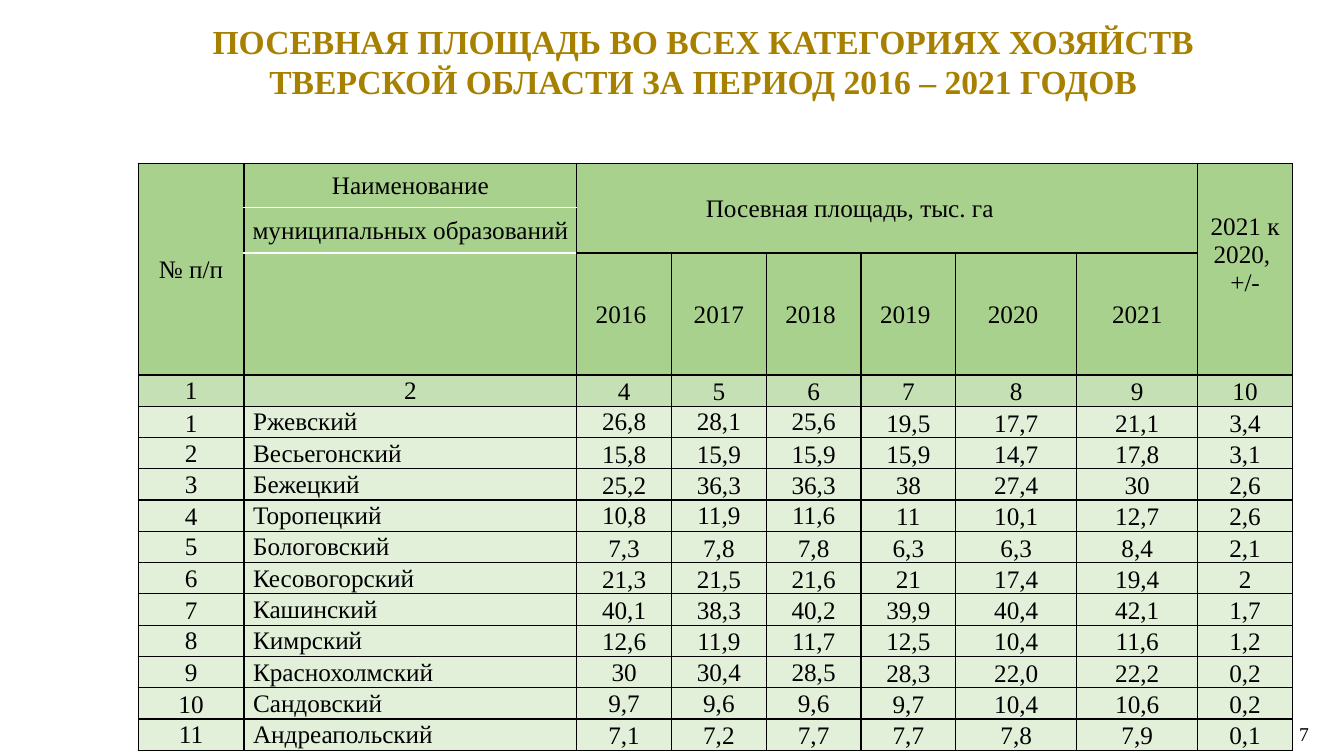
import pptx
import pptx.util
import pptx.dml.color
import pptx.enum.text
import pptx.oxml
import pptx.oxml.ns

Inches = pptx.util.Inches
RGBColor = pptx.dml.color.RGBColor
ALIGN = pptx.enum.text.PP_ALIGN
ANCHOR = pptx.enum.text.MSO_ANCHOR

FONT = "Times New Roman"
GOLD = RGBColor(0xA8, 0x80, 0x00)
BLACK = RGBColor(0x00, 0x00, 0x00)
HEAD = RGBColor(0xA9, 0xD1, 0x8E)
SUBHEAD = RGBColor(0xC5, 0xE0, 0xB4)
BODY = RGBColor(0xE2, 0xF0, 0xD9)

COLUMN_WIDTHS = [1.05, 3.3, 0.94, 0.94, 0.94, 0.94, 1.2, 1.2, 0.94]
HEADER_HEIGHTS = [0.44, 0.45, 1.21]
ROW_HEIGHT = 0.31
YEARS = ["2016 ", "2017", "2018 ", "2019 ", "2020 ", "2021"]
COLUMN_NUMBERS = ["1", "2", "4", "5", "6", "7", "8", "9", "10"]
DISTRICTS = [
    ("Ржевский", "26,8 28,1 25,6 19,5 17,7 21,1 3,4"),
    ("Весьегонский", "15,8 15,9 15,9 15,9 14,7 17,8 3,1"),
    ("Бежецкий", "25,2 36,3 36,3 38 27,4 30 2,6"),
    ("Торопецкий", "10,8 11,9 11,6 11 10,1 12,7 2,6"),
    ("Бологовский", "7,3 7,8 7,8 6,3 6,3 8,4 2,1"),
    ("Кесовогорский", "21,3 21,5 21,6 21 17,4 19,4 2"),
    ("Кашинский", "40,1 38,3 40,2 39,9 40,4 42,1 1,7"),
    ("Кимрский", "12,6 11,9 11,7 12,5 10,4 11,6 1,2"),
    ("Краснохолмский", "30 30,4 28,5 28,3 22,0 22,2 0,2"),
    ("Сандовский", "9,7 9,6 9,6 9,7 10,4 10,6 0,2"),
    ("Андреапольский", "7,1 7,2 7,7 7,7 7,8 7,9 0,1"),
]
MIDDLE_VALUE_ROWS = {1, 4, 9, 10}


def write_text(tf, text, size=18, color=BLACK, bold=False, align=ALIGN.CENTER):
    for i, line in enumerate(text.split("\n")):
        p = tf.paragraphs[0] if i == 0 else tf.add_paragraph()
        p.alignment = align
        p.font.size = pptx.util.Pt(size)
        r = p.add_run()
        r.text = line
        r.font.name = FONT
        r.font.size = pptx.util.Pt(size)
        r.font.bold = bold
        r.font.color.rgb = color


def add_text(s, left, top, width, height, text, **fmt):
    tf = s.shapes.add_textbox(Inches(left), Inches(top), Inches(width), Inches(height)).text_frame
    tf.word_wrap = True
    tf.vertical_anchor = ANCHOR.MIDDLE
    write_text(tf, text, **fmt)


def set_borders(cell, sides):
    tc_pr = cell._tc.get_or_add_tcPr()
    lines = [
        f'<a:ln{side} {pptx.oxml.ns.nsdecls("a")} w="12700">'
        f'<a:solidFill><a:srgbClr val="{BLACK}"/></a:solidFill></a:ln{side}>'
        for side in "LRTB" if side in sides
    ]
    for i, xml in enumerate(lines):
        tc_pr.insert(i, pptx.oxml.parse_xml(xml))


def style_cell(cell, fill, sides="LRTB"):
    cell.fill.solid()
    cell.fill.fore_color.rgb = fill
    set_borders(cell, sides)


def fill_cell(cell, text, anchor=ANCHOR.MIDDLE, left=0.01, bottom=0, **fmt):
    cell.margin_left = Inches(left)
    cell.margin_right = cell.margin_top = Inches(0.01)
    cell.margin_bottom = Inches(bottom)
    cell.vertical_anchor = anchor
    write_text(cell.text_frame, text, **fmt)


def fill_header(table):
    name_sides = ["LRT", "LR", "LRB"]
    for row in range(3):
        for col in range(len(COLUMN_WIDTHS)):
            style_cell(table.cell(row, col), HEAD, name_sides[row] if col == 1 else "LRTB")
    table.cell(0, 0).merge(table.cell(2, 0))
    table.cell(0, 2).merge(table.cell(1, 7))
    table.cell(0, 8).merge(table.cell(2, 8))
    fill_cell(table.cell(0, 0), "№ п/п")
    fill_cell(table.cell(0, 1), "Наименование")
    fill_cell(table.cell(1, 1), "муниципальных образований")
    fill_cell(table.cell(0, 2), "Посевная площадь, тыс. га", left=1.28, align=ALIGN.LEFT)
    fill_cell(table.cell(0, 8), "2021 к 2020, \n+/-", bottom=0.29)
    for col, year in enumerate(YEARS, 2):
        fill_cell(table.cell(2, col), year)
    for col, number in enumerate(COLUMN_NUMBERS):
        cell = table.cell(3, col)
        style_cell(cell, SUBHEAD)
        fill_cell(cell, number, ANCHOR.MIDDLE if col < 2 else ANCHOR.BOTTOM)


def fill_district(table, number, name, values):
    row = number + 3
    for col in range(len(COLUMN_WIDTHS)):
        style_cell(table.cell(row, col), BODY)
    fill_cell(table.cell(row, 0), str(number), ANCHOR.BOTTOM if number % 3 == 1 else ANCHOR.MIDDLE)
    fill_cell(table.cell(row, 1), name, left=0.09, align=ALIGN.LEFT)
    for col, value in enumerate(values.split(), 2):
        middle = col < 5 and number in MIDDLE_VALUE_ROWS
        fill_cell(table.cell(row, col), value, ANCHOR.MIDDLE if middle else ANCHOR.BOTTOM)


def add_area_table(s):
    heights = HEADER_HEIGHTS + [ROW_HEIGHT] * (len(DISTRICTS) + 1)
    table = s.shapes.add_table(
        len(heights), len(COLUMN_WIDTHS), Inches(1.37), Inches(1.62),
        Inches(sum(COLUMN_WIDTHS)), Inches(sum(heights)),
    ).table
    table.first_row = table.horz_banding = False
    for column, width in zip(table.columns, COLUMN_WIDTHS):
        column.width = Inches(width)
    for row, height in zip(table.rows, heights):
        row.height = Inches(height)
    fill_header(table)
    for number, (name, values) in enumerate(DISTRICTS, 1):
        fill_district(table, number, name, values)


def main():
    prs = pptx.Presentation()
    prs.slide_width = Inches(13.33)
    prs.slide_height = Inches(7.5)
    s = prs.slides.add_slide(prs.slide_layouts[6])
    add_text(
        s, 1.15, 0.16, 11.65, 0.89,
        "ПОСЕВНАЯ ПЛОЩАДЬ ВО ВСЕХ КАТЕГОРИЯХ ХОЗЯЙСТВ ТВЕРСКОЙ ОБЛАСТИ ЗА ПЕРИОД 2016 – 2021 ГОДОВ",
        size=24, color=GOLD, bold=True,
    )
    add_text(s, 9.97, 7.08, 3.11, 0.4, "7", size=14, align=ALIGN.RIGHT)
    add_area_table(s)
    prs.save("out.pptx")


if __name__ == "__main__":
    main()
